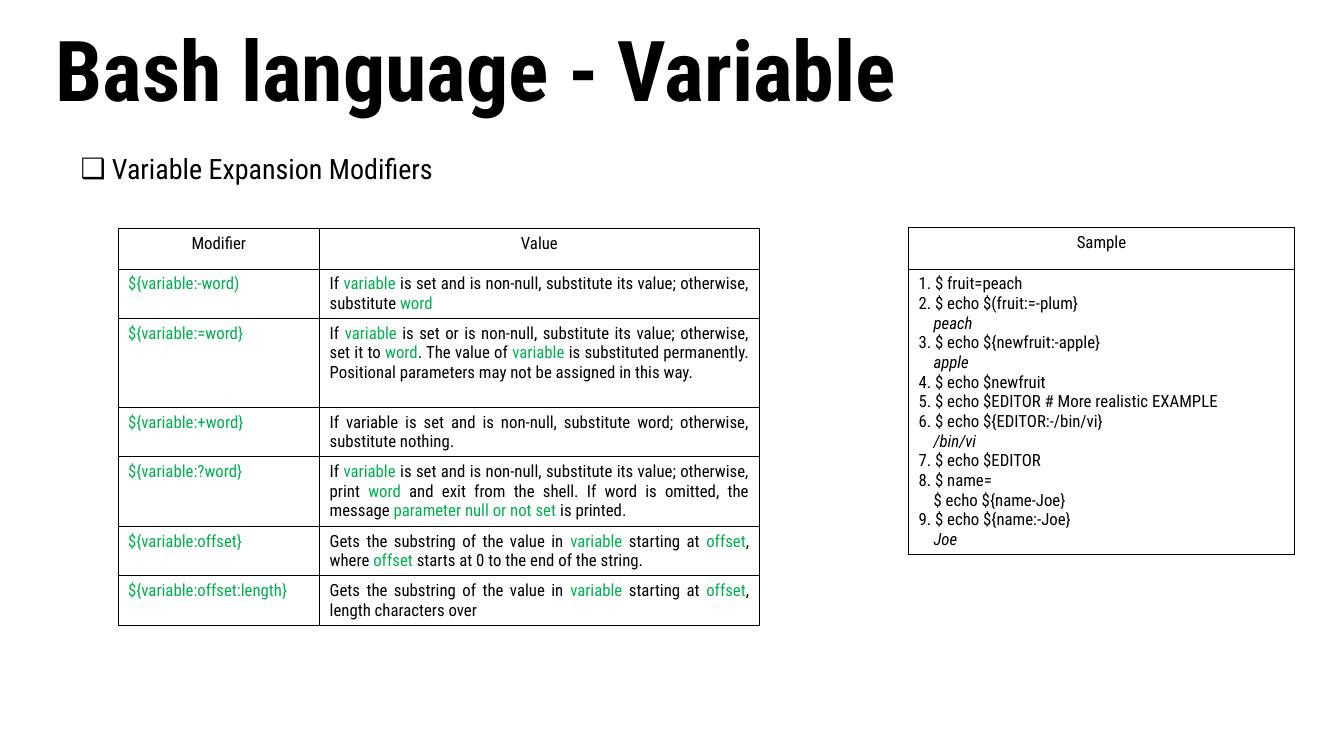
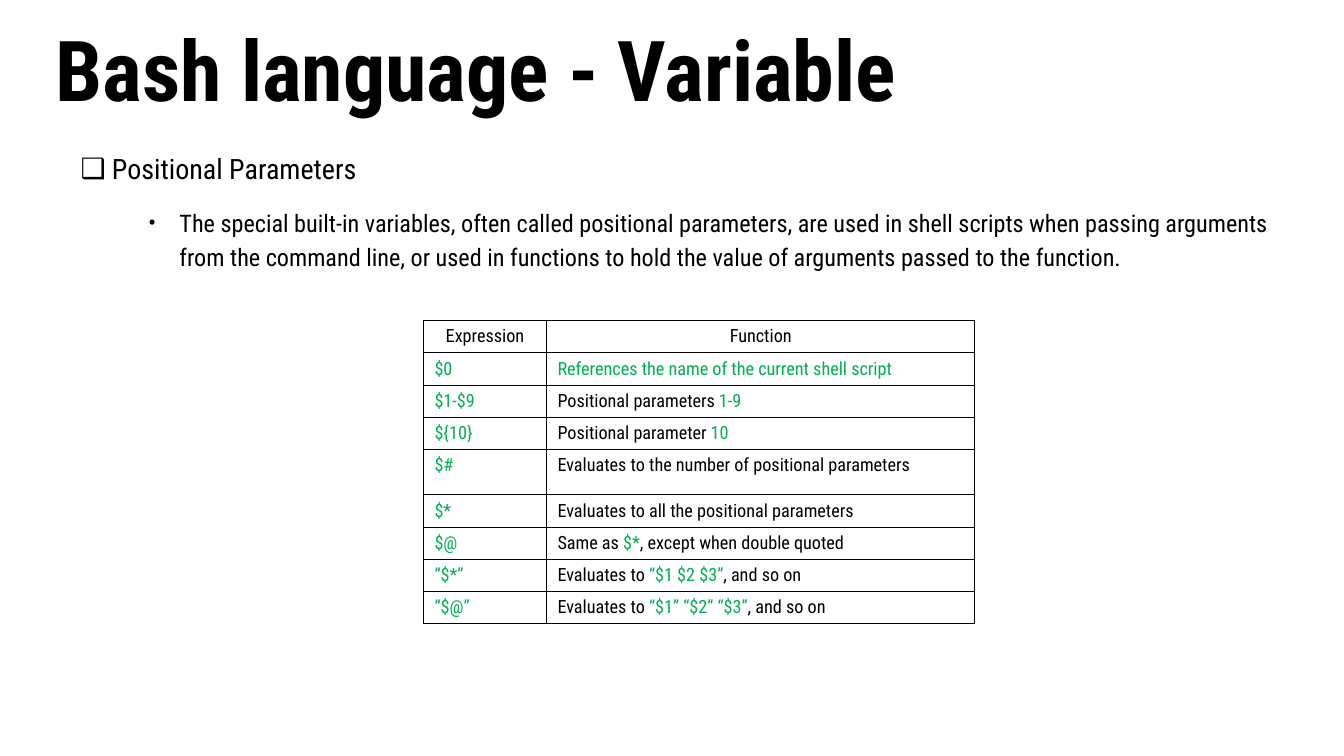
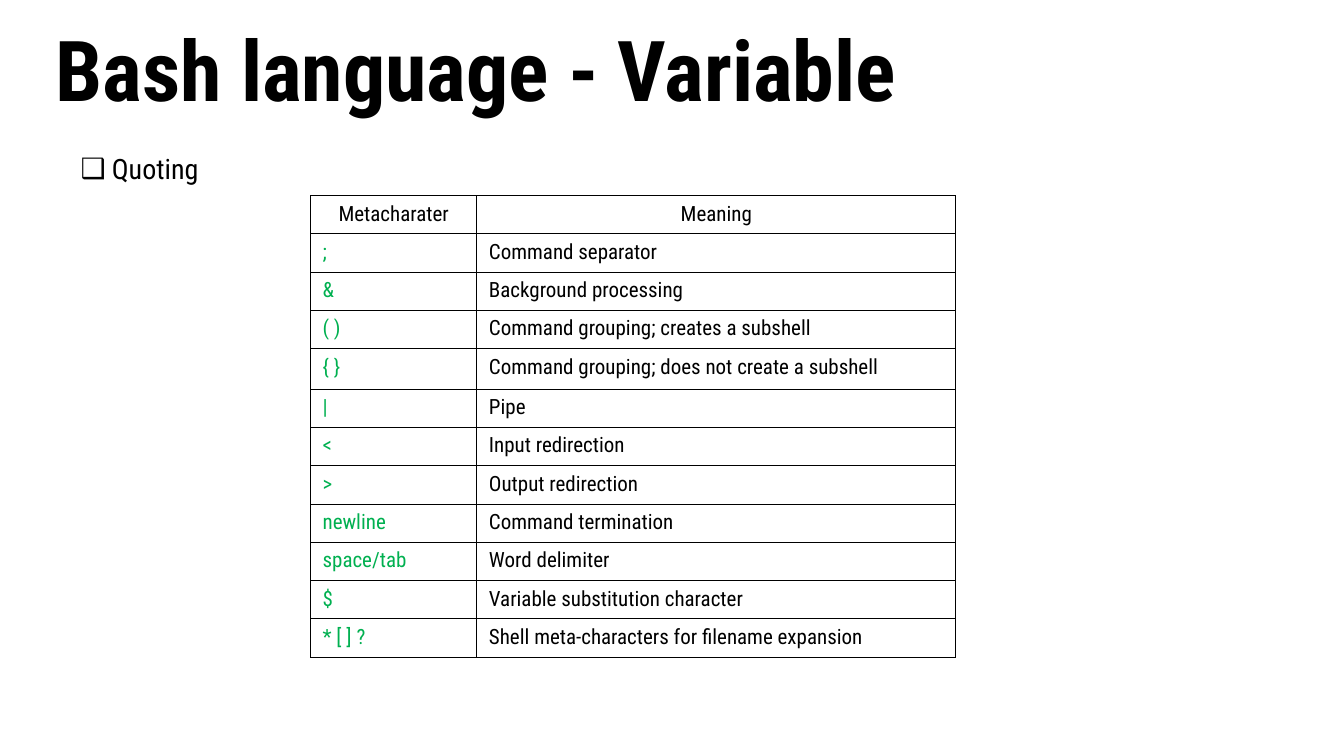
from lxml import etree
from pptx import Presentation
from pptx import util as u
from pptx.dml.color import RGBColor
from pptx.enum import text
from pptx.oxml import ns

FONT = "Roboto Condensed"
COLORS = {"ink": "000000", "code": "00B050"}
TITLE = "Bash language - Variable"
ALIGN = text.PP_ALIGN
MARK = "~"

MODIFIERS = [
    ("Modifier", "Value"),
    ("~${variable:-word)~",
     "If ~variable~ is set and is non-null, substitute its value; otherwise, substitute ~word~"),
    ("~${variable:=word}~",
     "If ~variable~ is set or is non-null, substitute its value; otherwise, set it to ~word~. "
     "The value of ~variable~ is substituted permanently. "
     "Positional parameters may not be assigned in this way."),
    ("~${variable:+word}~",
     "If variable is set and is non-null, substitute word; otherwise, substitute nothing."),
    ("~${variable:?word}~",
     "If ~variable~ is set and is non-null, substitute its value; otherwise, print ~word~ and "
     "exit from the shell. If word is omitted, the message ~parameter null or not set~ is printed."),
    ("~${variable:offset}~",
     "Gets the substring of the value in ~variable~ starting at ~offset~, "
     "where ~offset~ starts at 0 to the end of the string."),
    ("~${variable:offset:length}~",
     "Gets the substring of the value in ~variable~ starting at ~offset~, length characters over"),
]

SESSION = [
    ("1. $ fruit=peach", "command"),
    ("2. $ echo $(fruit:=-plum}", "command"),
    ("peach", "output"),
    ("3. $ echo ${newfruit:-apple}", "command"),
    ("apple", "output"),
    ("4. $ echo $newfruit", "command"),
    ("5. $ echo $EDITOR # More realistic EXAMPLE", "command"),
    ("6. $ echo ${EDITOR:-/bin/vi}", "command"),
    ("/bin/vi", "output"),
    ("7. $ echo $EDITOR", "command"),
    ("8. $ name=", "command"),
    ("$ echo ${name-Joe}", "continued"),
    ("9. $ echo ${name:-Joe}", "command"),
    ("Joe", "output"),
]

PARAMETERS = [
    ("Expression", "Function"),
    ("~$0~", "~References the name of the current shell script~"),
    ("~$1-$9~", "Positional parameters ~1-9~"),
    ("~${10}~", "Positional parameter ~10~"),
    ("~$#~", "Evaluates to the number of positional parameters"),
    ("~$*~", "Evaluates to all the positional parameters"),
    ("~$@~", "Same as ~$*~, except when double quoted"),
    ("~“$*”~", "Evaluates to ~“$1 $2 $3”~, and so on"),
    ("~“$@”~", "Evaluates to ~“$1” “$2” “$3”~, and so on"),
]

METACHARACTERS = [
    ("Metacharater", "Meaning"),
    ("~;~", "Command separator"),
    ("~&~", "Background processing"),
    ("~( )~", "Command grouping; creates a subshell"),
    ("~{ }~", "Command grouping; does not create a subshell"),
    ("~|~", "Pipe"),
    ("~<~", "Input redirection"),
    ("~>~", "Output redirection"),
    ("~newline~", "Command termination"),
    ("~space/tab~", "Word delimiter"),
    ("~$~", "Variable substitution character"),
    ("~* [ ] ?~", "Shell meta-characters for filename expansion"),
]


def style_run(run, size, color="ink", bold=False, italic=False):
    run.font.name = FONT
    run.font.size = u.Pt(size)
    run.font.bold = bold
    run.font.italic = italic
    run.font.color.rgb = RGBColor.from_string(COLORS[color])


def write_marked(paragraph, marked, size):
    for index, piece in enumerate(marked.split(MARK)):
        if piece:
            run = paragraph.add_run()
            run.text = piece
            style_run(run, size, "code" if index % 2 else "ink")


def add_child(parent, tag, **attributes):
    child = etree.SubElement(parent, ns.qn(tag))
    for key, value in attributes.items():
        child.set(key, str(value))
    return child


def add_color(parent, color):
    add_child(parent, "a:srgbClr", val=COLORS[color])


def set_bullet(paragraph, char, indent):
    properties = paragraph._p.get_or_add_pPr()
    properties.set("marL", str(u.Inches(indent)))
    properties.set("indent", str(u.Inches(-0.31)))
    add_color(add_child(properties, "a:buClr"), "ink")
    add_child(properties, "a:buFont", typeface=FONT)
    add_child(properties, "a:buChar", char=char)


def place(holder, left, top, width, height):
    holder.left, holder.top = u.Inches(left), u.Inches(top)
    holder.width, holder.height = u.Inches(width), u.Inches(height)
    frame = holder.text_frame
    frame.margin_left = frame.margin_right = u.Inches(0.07)
    frame.margin_top = frame.margin_bottom = u.Inches(0.04)
    frame.auto_size = text.MSO_AUTO_SIZE.NONE
    frame.word_wrap = True
    return frame


def add_bullet(paragraph, words, size, char, indent, spacing, before=0, level=0):
    paragraph.text = words
    paragraph.level = level
    paragraph.alignment = ALIGN.LEFT
    paragraph.line_spacing = spacing
    paragraph.space_before = u.Pt(before)
    set_bullet(paragraph, char, indent)
    style_run(paragraph.runs[0], size)


def add_topic_slide(deck, topic, detail=None):
    slide = deck.slides.add_slide(deck.slide_layouts[1])
    heading = place(slide.shapes.title, 0.48, 0.28, 12.37, 0.92)
    heading.text = TITLE
    heading.vertical_anchor = text.MSO_ANCHOR.MIDDLE
    heading.paragraphs[0].alignment = ALIGN.LEFT
    heading.paragraphs[0].line_spacing = 0.9
    style_run(heading.paragraphs[0].runs[0], 60, bold=True)

    body = place(slide.placeholders[1], 0.48, 1.42, 12.37, 5.8)
    body.vertical_anchor = text.MSO_ANCHOR.TOP
    add_bullet(body.paragraphs[0], topic, 20, "❑", 0.56, 1.14)
    if detail:
        add_bullet(body.add_paragraph(), detail, 17.3, "•", 1.23, 1.15, 13.3, 1)
    return slide


def format_cell(cell, inset):
    cell.margin_left = cell.margin_right = u.Inches(inset)
    cell.margin_top = cell.margin_bottom = u.Inches(inset / 2)
    properties = cell._tc.get_or_add_tcPr()
    for side in ("a:lnL", "a:lnR", "a:lnT", "a:lnB"):
        border = add_child(properties, side, w=u.Pt(0.75))
        add_color(add_child(border, "a:solidFill"), "ink")
    cell.fill.background()


def add_grid(slide, left, top, widths, heights, inset):
    table = slide.shapes.add_table(
        len(heights), len(widths), u.Inches(left), u.Inches(top),
        u.Inches(sum(widths)), u.Inches(sum(heights))).table
    table.first_row = table.horz_banding = False
    for column, width in zip(table.columns, widths):
        column.width = u.Inches(width)
    for row, height in zip(table.rows, heights):
        row.height = u.Inches(height)
    for cell in table.iter_cells():
        format_cell(cell, inset)
    return table


def add_reference(slide, entries, left, top, widths, heights, size, inset):
    table = add_grid(slide, left, top, widths, heights, inset)
    for row, entry in enumerate(entries):
        for column, words in enumerate(entry):
            paragraph = table.cell(row, column).text_frame.paragraphs[0]
            alignments = (ALIGN.LEFT, ALIGN.JUSTIFY) if row else (ALIGN.CENTER,) * 2
            paragraph.alignment = alignments[column]
            write_marked(paragraph, words, size)


def add_sample(slide):
    table = add_grid(slide, 9.01, 2.26, [3.83], [0.41, 2.83], 0.1)
    header = table.cell(0, 0).text_frame.paragraphs[0]
    header.alignment = ALIGN.CENTER
    write_marked(header, "Sample", 12)
    listing = table.cell(1, 0).text_frame
    listing.text = "\n".join(line for line, kind in SESSION)
    for paragraph, (line, kind) in zip(listing.paragraphs, SESSION):
        if kind != "command":
            paragraph._p.get_or_add_pPr().set("marL", str(u.Inches(0.15)))
        style_run(paragraph.runs[0], 12, italic=kind == "output")


def main():
    deck = Presentation()
    deck.slide_width, deck.slide_height = u.Inches(13.33), u.Inches(7.5)

    expansion = add_topic_slide(deck, "Variable Expansion Modifiers")
    add_reference(expansion, MODIFIERS, 1.17, 2.27, [2, 4.36],
                  [0.4, 0.49, 0.88, 0.49, 0.69, 0.49, 0.49], 12, 0.1)
    add_sample(expansion)

    positional = add_topic_slide(
        deck, "Positional Parameters",
        "The special built-in variables, often called positional parameters, are used in shell "
        "scripts when passing arguments from the command line, or used in functions to hold the "
        "value of arguments passed to the function.")
    add_reference(positional, PARAMETERS, 4.2, 3.18, [1.22, 4.25],
                  [0.32] * 4 + [0.45] + [0.32] * 4, 13, 0.11)

    quoting = add_topic_slide(deck, "Quoting")
    add_reference(quoting, METACHARACTERS, 3.08, 1.94, [1.65, 4.75],
                  [0.38] * 4 + [0.4] + [0.38] * 7, 15, 0.12)

    deck.save("out.pptx")


main()
